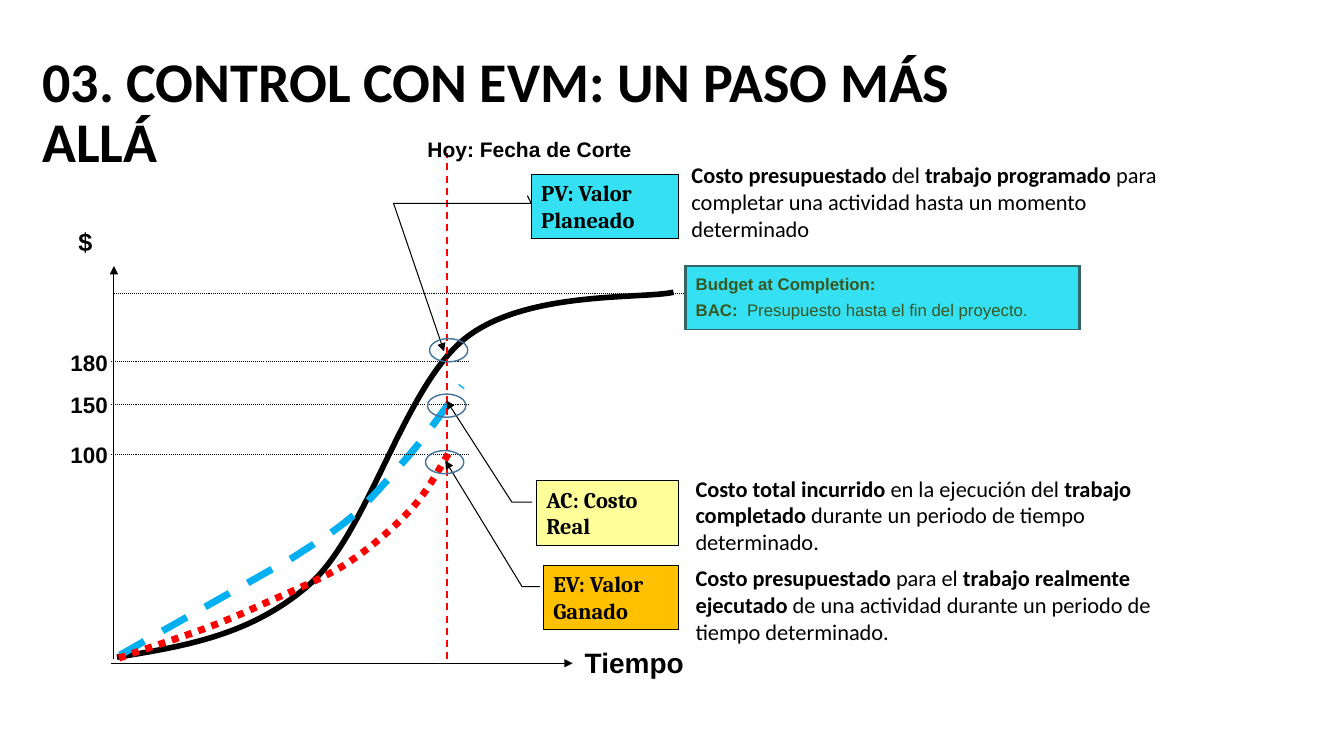
from lxml import etree
from pptx import Presentation
from pptx.dml.color import RGBColor
from pptx.enum.dml import MSO_LINE
from pptx.enum.shapes import MSO_CONNECTOR, MSO_SHAPE
from pptx.enum.text import MSO_ANCHOR, PP_ALIGN
from pptx.oxml.ns import qn
from pptx.util import Inches, Pt

DASH, DOT = MSO_LINE.DASH, MSO_LINE.ROUND_DOT
BENT2, BENT3 = MSO_SHAPE.LINE_CALLOUT_2, MSO_SHAPE.LINE_CALLOUT_3
OVAL, STRAIGHT = MSO_SHAPE.OVAL, MSO_CONNECTOR.STRAIGHT
LEFT, TOP, MIDDLE = PP_ALIGN.LEFT, MSO_ANCHOR.TOP, MSO_ANCHOR.MIDDLE

HUES = {
    "black": "000000", "red": "FF0000", "blue": "00B0F0", "cyan": "34E0F2",
    "amber": "FFC000", "yellow": "FFFF99", "ring": "43739E",
    "frame": "336666", "green": "385723",
}

# Bold stretches of text stand between asterisks.
TITLE = "*03. CONTROL CON EVM: UN PASO MÁS ALLÁ*"
BUDGET = ["*Budget at Completion:*",
          "*BAC: * Presupuesto hasta el fin del proyecto."]
# text, left, top, width, height, size
LABELS = [
    ("*Tiempo*", 5.7, 6.35, 1.19, 0.43, 20),
    ("*$*", 0.68, 2.2, 0.34, 0.4, 18),
    ("*Hoy: Fecha de Corte*", 4.14, 1.31, 2.25, 0.35, 15),
]
# text, left, top
NOTES = [
    ("*Costo presupuestado *del *trabajo programado *para completar una "
     "actividad hasta un momento determinado", 6.76, 1.55),
    ("*Costo total incurrido *en la ejecución del *trabajo completado *"
     "durante un periodo de tiempo determinado.", 6.8, 4.66),
    ("*Costo presupuestado *para el *trabajo realmente ejecutado *de una "
     "actividad durante un periodo de tiempo determinado.", 6.8, 5.55),
]
# text, preset, left, top, fill, leader as shares of the box (y, x, y, x ...)
BOXES = [
    ("*PV: Valor Planeado*", BENT3, 5.27, 1.73, "cyan",
     (0.33, -0.027, 0.451, 0, 0.451, -0.936, 2.746, -0.593)),
    ("*AC: Costo Real*", BENT2, 5.32, 4.77, "yellow",
     (0.33, -0.03, 0.33, -0.173, -1.245, -0.633)),
    ("*EV: Valor Ganado*", BENT2, 5.39, 5.61, "amber",
     (0.33, -0.027, 0.33, -0.158, -1.625, -0.727)),
]
# value, guide height, ring left, ring top
LEVELS = [("180", 3.59, 4.26, 3.36), ("150", 4.01, 4.24, 3.91),
          ("100", 4.51, 4.22, 4.47)]
# colour, weight, dash, start point followed by Bezier triples
CURVES = [
    ("black", 4, None, [
        (1.16, 6.52), (1.84, 6.41), (2.51, 6.3), (3.09, 5.78),
        (3.66, 5.25), (4.01, 3.84), (4.61, 3.36),
        (5.21, 2.88), (6.36, 2.97), (6.68, 2.9)]),
    ("blue", 5, DASH, [
        (1.19, 6.5), (1.43, 6.36), (2.34, 5.85), (2.64, 5.68),
        (2.94, 5.51), (2.85, 5.57), (3, 5.47),
        (3.14, 5.38), (3.34, 5.26), (3.52, 5.1),
        (3.7, 4.93), (3.9, 4.7), (4.08, 4.49),
        (4.26, 4.28), (4.47, 3.97), (4.58, 3.83)]),
    ("red", 5, DOT, [
        (1.18, 6.53), (1.34, 6.47), (1.87, 6.3), (2.1, 6.21),
        (2.33, 6.12), (2.35, 6.11), (2.57, 6.01),
        (2.79, 5.91), (3.16, 5.76), (3.41, 5.61),
        (3.66, 5.45), (3.89, 5.25), (4.07, 5.06),
        (4.24, 4.88), (4.38, 4.61), (4.46, 4.48)]),
]
AXIS, BASE, TODAY, EDGE, BAC = 1.13, 6.54, 4.43, 6.73, 2.91
# start, end, colour, weight, dash, arrow
LINES = [
    ((AXIS, BASE), (AXIS, 2.64), "black", 0.75, None, True),
    ((1.1, 6.58), (5.68, 6.58), "black", 0.25, None, True),
    ((6.93, BAC), (AXIS, BAC), "black", 0.75, DOT, False),
    ((TODAY, BASE), (TODAY, 1.52), "red", 1.25, DASH, False),
] + [((4.65, y), (1.1, y), "black", 0.75, DOT, False)
     for _, y, _, _ in LEVELS]


def rgb(name):
    return RGBColor.from_string(HUES[name])


def inch(*nums):
    return [Inches(n) for n in nums]


def write(frame, *lines, size=16, font="Arial", hue="black", wrap=True,
          anchor=TOP, lead=None, gap=None):
    """Fill a text frame, one paragraph a line, with bold between asterisks."""
    frame.word_wrap = wrap
    frame.vertical_anchor = anchor
    for i, line in enumerate(lines):
        para = frame.add_paragraph() if i else frame.paragraphs[0]
        para.alignment = LEFT
        if lead:
            para.line_spacing = lead
        if gap:
            para.space_before = Pt(gap)
        for j, part in enumerate(line.split("*")):
            if part:
                run = para.add_run()
                run.text = part
                run.font.name, run.font.size = font, Pt(size)
                run.font.bold = j % 2 == 1
                run.font.color.rgb = rgb(hue)


def stroke(item, hue, width, dash=None, arrow=False):
    line = item.line
    line.color.rgb, line.width = rgb(hue), Pt(width)
    if dash:
        line.dash_style = dash
    if arrow:
        ln = item._element.spPr.find(qn("a:ln"))
        etree.SubElement(ln, qn("a:tailEnd"), type="triangle")


def note(text, *place, **style):
    box = shapes.add_textbox(*inch(*place))
    write(box.text_frame, text, **style)


def shape(kind, *place, fill=None):
    item = shapes.add_shape(kind, *inch(*place))
    item.shadow.inherit = False
    if fill:
        item.fill.solid()
        item.fill.fore_color.rgb = rgb(fill)
    else:
        item.fill.background()
    return item


def curve(hue, width, dash, points):
    """Draw a freeform whose corners, three by three, become Bezier arcs."""
    (x, y), *rest = [inch(*p) for p in points]
    pen = shapes.build_freeform(x, y)
    pen.add_line_segments(rest, close=False)
    item = pen.convert_to_shape()
    item.shadow.inherit = False
    item.fill.background()
    stroke(item, hue, width, dash)
    steps = list(item._element.iter(qn("a:lnTo")))
    for i in range(0, len(steps), 3):
        arc = etree.SubElement(steps[i].getparent(), qn("a:cubicBezTo"))
        for step in steps[i:i + 3]:
            arc.append(step[0])
            step.getparent().remove(step)


def budget():
    grid = shapes.add_table(1, 1, *inch(6.8, 2.64, 3.91, 0.63)).table
    grid.first_row = grid.horz_banding = False
    cell = grid.cell(0, 0)
    write(cell.text_frame, *BUDGET, size=12, hue="green", lead=1.2, gap=2.4)
    cell.fill.solid()
    cell.fill.fore_color.rgb = rgb("cyan")
    props = cell._tc.get_or_add_tcPr()
    for i, (side, width) in enumerate(
            [("L", 2.25), ("R", 2.25), ("T", 2.25), ("B", 1)]):
        ln = etree.Element(qn("a:ln" + side), w=str(Pt(width)))
        paint = etree.SubElement(ln, qn("a:solidFill"))
        etree.SubElement(paint, qn("a:srgbClr"), val=HUES["frame"])
        props.insert(i, ln)


deck = Presentation()
deck.slide_width, deck.slide_height = inch(13.33, 7.5)
slide = deck.slides.add_slide(deck.slide_layouts[5])
shapes = slide.shapes

title = shapes.title
title.left, title.top, title.width, title.height = inch(0.32, 0.41, 10.39, 1.45)
write(title.text_frame, TITLE, size=40, font="Calibri", anchor=MIDDLE, lead=0.9)

for row in CURVES:
    curve(*row)
for start, end, *look in LINES:
    link = shapes.add_connector(STRAIGHT, *inch(*start, *end))
    stroke(link, *look)
    etree.SubElement(link._element.spPr, qn("a:effectLst"))
for text, kind, x, y, fill, leader in BOXES:
    box = shape(kind, x, y, EDGE - x, 0.64, fill=fill)
    for i, share in enumerate(leader):
        box.adjustments[i] = share
    stroke(box, "black", 0.75, arrow=True)
    write(box.text_frame, text, font="Cambria")
budget()
for value, y, x, top in LEVELS:
    note(f"*{value}*", 0.6, y - 0.18, 0.58, 0.37, wrap=False)
    stroke(shape(OVAL, x, top, 0.38, 0.23), "ring", 1)
for text, x, y, w, h, size in LABELS:
    note(text, x, y, w, h, size=size, wrap=False)
for text, x, y in NOTES:
    note(text, x, y, 4.82, 0.91, font="Calibri")

deck.save("out.pptx")
